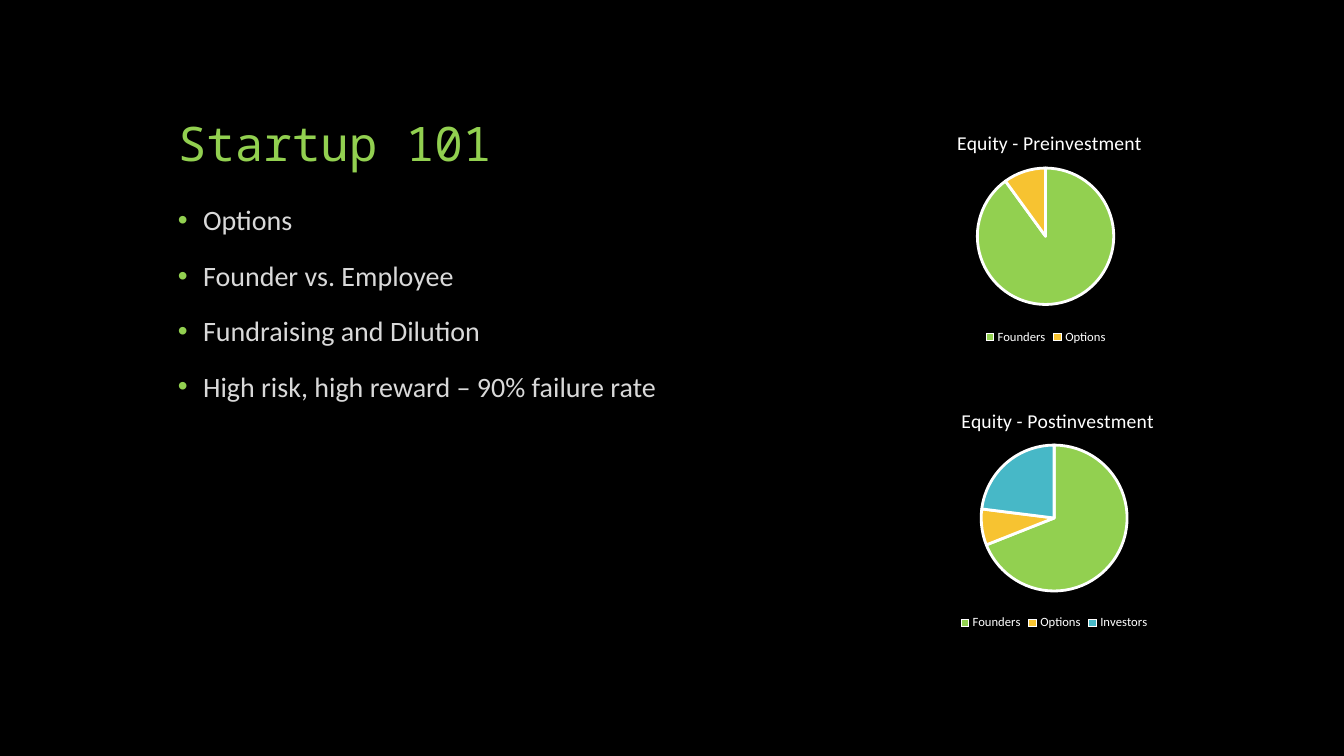
"""Build the Startup 101 slide with two equity pie charts."""
from lxml import etree
from pptx import Presentation
from pptx.chart.data import CategoryChartData
from pptx.dml.color import RGBColor
from pptx.enum.chart import XL_CHART_TYPE, XL_LEGEND_POSITION
from pptx.enum.text import MSO_ANCHOR
from pptx.oxml.ns import qn
from pptx.util import Pt

PIE = XL_CHART_TYPE.PIE
LEGEND_BOTTOM = XL_LEGEND_POSITION.BOTTOM
ANCHOR_TOP = MSO_ANCHOR.TOP
ANCHOR_BOTTOM = MSO_ANCHOR.BOTTOM
EMU_PER_PX = 9525
BODY_FONT = "Calibri"
TITLE_FONT = "Noto Sans Mono"
COLOURS = {
    "background": "000000",
    "title": "92D050",
    "body": "D9D9D9",
    "chart": "FFFFFF",
    "Founders": "92D050",
    "Options": "F7C331",
    "Investors": "47B8C7",
}
TOPICS = [
    "Options",
    "Founder vs. Employee",
    "Fundraising and Dilution",
    "High risk, high reward – 90% failure rate",
]
TITLE_TOP = 16
PIE_TOP = 56


def px(length):
    """Turn pixels into EMU."""
    return length * EMU_PER_PX


def colour(name):
    """Return a named colour."""
    return RGBColor.from_string(COLOURS[name])


def style_font(font, name, size, colour_name):
    """Set the face, size and colour of a font."""
    font.name = name
    font.size = Pt(size)
    font.color.rgb = colour(colour_name)


def add_bullet(paragraph):
    """Give a paragraph a green bullet with a hanging indent."""
    properties = paragraph._p.get_or_add_pPr()
    properties.set("marL", str(px(24)))
    properties.set("indent", str(px(-24)))
    bullet_colour = etree.SubElement(properties, qn("a:buClr"))
    etree.SubElement(bullet_colour, qn("a:srgbClr"), val=COLOURS["title"])
    etree.SubElement(properties, qn("a:buFont"), typeface="Arial")
    etree.SubElement(properties, qn("a:buChar"), char="•")


def add_text(slide, box, lines, font, anchor, bulleted=False):
    """Add a text box with one paragraph per line."""
    text_frame = slide.shapes.add_textbox(*map(px, box)).text_frame
    text_frame.word_wrap = True
    text_frame.vertical_anchor = anchor
    text_frame.text = "\n".join(lines)
    for paragraph in text_frame.paragraphs:
        paragraph.line_spacing = 0.9
        if bulleted:
            paragraph.space_before = Pt(18)
            add_bullet(paragraph)
        for run in paragraph.runs:
            style_font(run.font, *font)


def place(element, index, **values):
    """Put a manual layout into a chart element at a child index."""
    for layout in element.findall(qn("c:layout")):
        element.remove(layout)
    layout = etree.Element(qn("c:layout"))
    manual = etree.SubElement(layout, qn("c:manualLayout"))
    for tag, value in values.items():
        etree.SubElement(manual, qn(f"c:{tag}"), val=str(value))
    element.insert(index, layout)


def add_pie(slide, box, title, title_width, diameter, shares):
    """Add a pie chart with a centred title and a bottom legend."""
    width, height = box[2:]
    data = CategoryChartData()
    data.categories = list(shares)
    data.add_series("Series 1", list(shares.values()))
    chart = slide.shapes.add_chart(PIE, *map(px, box), data).chart
    style_font(chart.font, BODY_FONT, 10, "chart")

    chart.has_title = True
    title_paragraph = chart.chart_title.text_frame.paragraphs[0]
    title_paragraph.text = title
    title_font = title_paragraph.runs[0].font
    style_font(title_font, BODY_FONT, 14, "chart")
    title_font.bold = False
    place(chart.chart_title._element, 1, xMode="edge", yMode="edge",
          x=round((width - title_width) / 2 / width, 3),
          y=round(TITLE_TOP / height, 3))

    chart.has_legend = True
    chart.legend.position = LEGEND_BOTTOM
    chart.legend.include_in_layout = False
    style_font(chart.legend.font, BODY_FONT, 9, "chart")

    plot = chart.plots[0]
    plot.vary_by_categories = True
    for index, category in enumerate(shares):
        slice_format = plot.series[0].points[index].format
        slice_format.fill.solid()
        slice_format.fill.fore_color.rgb = colour(category)
        slice_format.line.color.rgb = colour("chart")
        slice_format.line.width = Pt(2)
    place(chart._chartSpace.chart.plotArea, 0, layoutTarget="inner",
          xMode="edge", yMode="edge",
          x=round((width - diameter) / 2 / width, 3),
          y=round(PIE_TOP / height, 3),
          w=round(diameter / width, 3), h=round(diameter / height, 3))


def main():
    """Build and save the slide."""
    presentation = Presentation()
    presentation.slide_width = px(1280)
    presentation.slide_height = px(720)
    slide = presentation.slides.add_slide(presentation.slide_layouts[6])
    slide.background.fill.solid()
    slide.background.fill.fore_color.rgb = colour("background")
    add_text(slide, (160, 48, 960, 120), ["Startup 101"],
             (TITLE_FONT, 34, "title"), ANCHOR_BOTTOM)
    add_text(slide, (160, 192, 664, 448), TOPICS,
             (BODY_FONT, 20, "body"), ANCHOR_TOP, bulleted=True)
    add_pie(slide, (816, 104, 360, 228), "Equity - Preinvestment", 176, 130,
            {"Founders": 90, "Options": 10})
    add_pie(slide, (840, 368, 328, 236), "Equity - Postinvestment", 184, 139,
            {"Founders": 69, "Options": 8, "Investors": 23})
    presentation.save("out.pptx")


if __name__ == "__main__":
    main()
